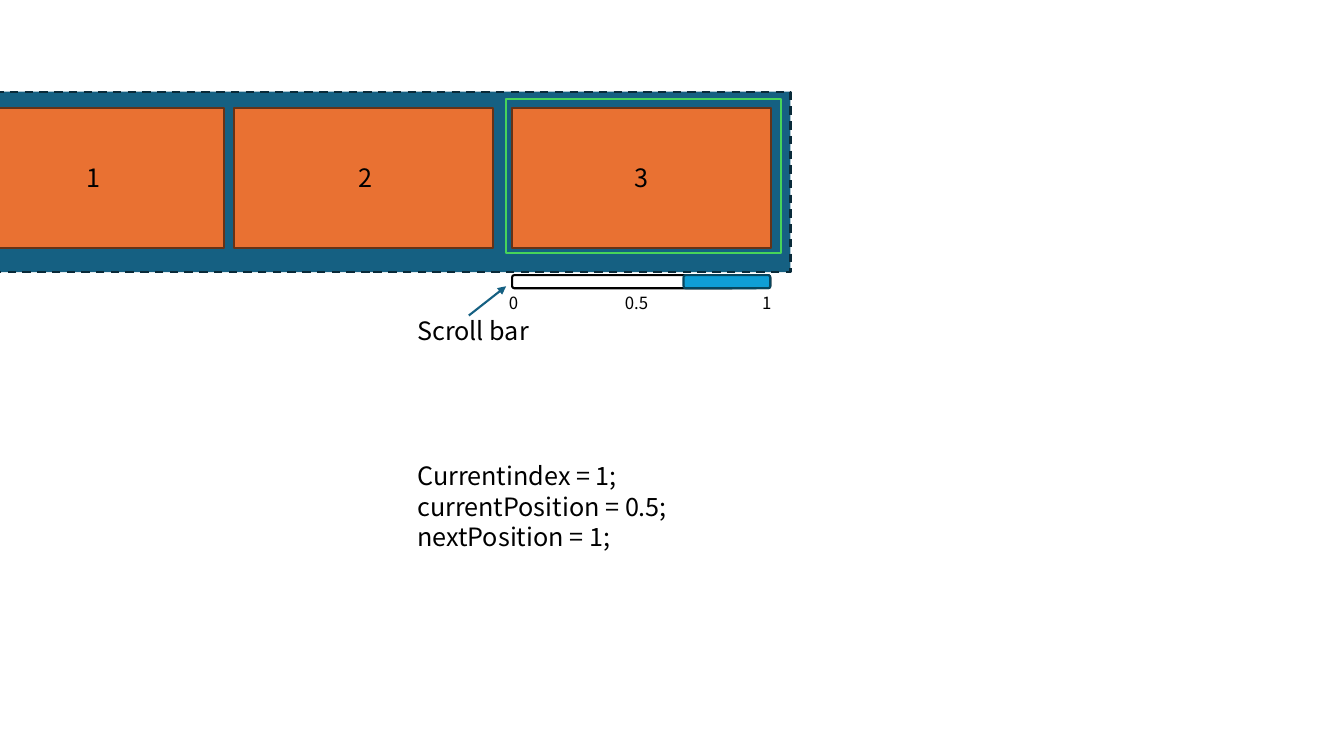
from lxml import etree
from pptx import Presentation
from pptx.dml.color import RGBColor
from pptx.enum.dml import MSO_LINE_DASH_STYLE as DASH
from pptx.enum.shapes import MSO_CONNECTOR, MSO_SHAPE
from pptx.enum.text import MSO_AUTO_SIZE
from pptx.oxml.ns import qn
from pptx.util import Inches, Pt

COLORS = {
    "strip": "156082", "strip_edge": "092A39", "focus": "47D45A",
    "card": "E97132", "card_edge": "663216", "track": "FFFFFF",
    "thumb": "0F9ED5", "thumb_edge": "07455D", "ink": "000000",
}
FONT = "Noto Sans CJK KR"

deck = Presentation()
deck.slide_width = Inches(13.33)
deck.slide_height = Inches(7.5)
slide = deck.slides.add_slide(deck.slide_layouts[6])


def add_block(kind, left, top, width, height, fill, edge):
    block = slide.shapes.add_shape(
        kind, Inches(left), Inches(top), Inches(width), Inches(height))
    block.shadow.inherit = False
    block.fill.solid()
    block.fill.fore_color.rgb = RGBColor.from_string(COLORS[fill])
    block.line.color.rgb = RGBColor.from_string(COLORS[edge])
    block.line.width = Pt(1.5)
    return block


def add_label(lines, left, top, width, height, size):
    label = slide.shapes.add_textbox(
        Inches(left), Inches(top), Inches(width), Inches(height))
    frame = label.text_frame
    frame.word_wrap = True
    frame.auto_size = MSO_AUTO_SIZE.SHAPE_TO_FIT_TEXT
    frame.text = "\n".join(lines)
    for paragraph in frame.paragraphs:
        paragraph.font.name = FONT
        paragraph.font.size = Pt(size)
        paragraph.font.color.rgb = RGBColor.from_string(COLORS["ink"])


strip = add_block(MSO_SHAPE.RECTANGLE, -0.51, 0.91, 8.35, 1.79, "strip", "strip_edge")
strip.line.dash_style = DASH.DASH
add_block(MSO_SHAPE.RECTANGLE, 5.02, 0.98, 2.73, 1.53, "strip", "focus")

cards = [("1", -0.35, 0.76), ("2", 2.32, 3.46), ("3", 5.08, 6.19)]
for number, card_left, number_left in cards:
    add_block(MSO_SHAPE.RECTANGLE, card_left, 1.07, 2.57, 1.39, "card", "card_edge")
    add_label([number], number_left, 1.56, 0.37, 0.4, 18)

add_block(MSO_SHAPE.ROUNDED_RECTANGLE, 5.08, 2.73, 2.56, 0.13, "track", "ink")
add_block(MSO_SHAPE.ROUNDED_RECTANGLE, 6.78, 2.73, 0.86, 0.13, "thumb", "thumb_edge")
for tick, tick_left, tick_width in [("0", 4.95, 0.36), ("0.5", 6.1, 0.64), ("1", 7.46, 0.36)]:
    add_label([tick], tick_left, 2.86, tick_width, 0.3, 12)

pointer = slide.shapes.add_connector(
    MSO_CONNECTOR.STRAIGHT, Inches(4.65), Inches(3.13), Inches(5.02), Inches(2.84))
pointer.line.color.rgb = RGBColor.from_string(COLORS["strip"])
pointer.line.width = Pt(1.5)
etree.SubElement(pointer.line._get_or_add_ln(), qn("a:tailEnd"), type="triangle")
etree.SubElement(pointer._element.spPr, qn("a:effectLst"))

add_label(["Scroll bar"], 4.04, 3.08, 1.34, 0.4, 18)
add_label(["Currentindex = 1;", "currentPosition = 0.5;", "nextPosition = 1;"],
          4.04, 4.52, 3.03, 1.01, 18)

deck.save("out.pptx")
